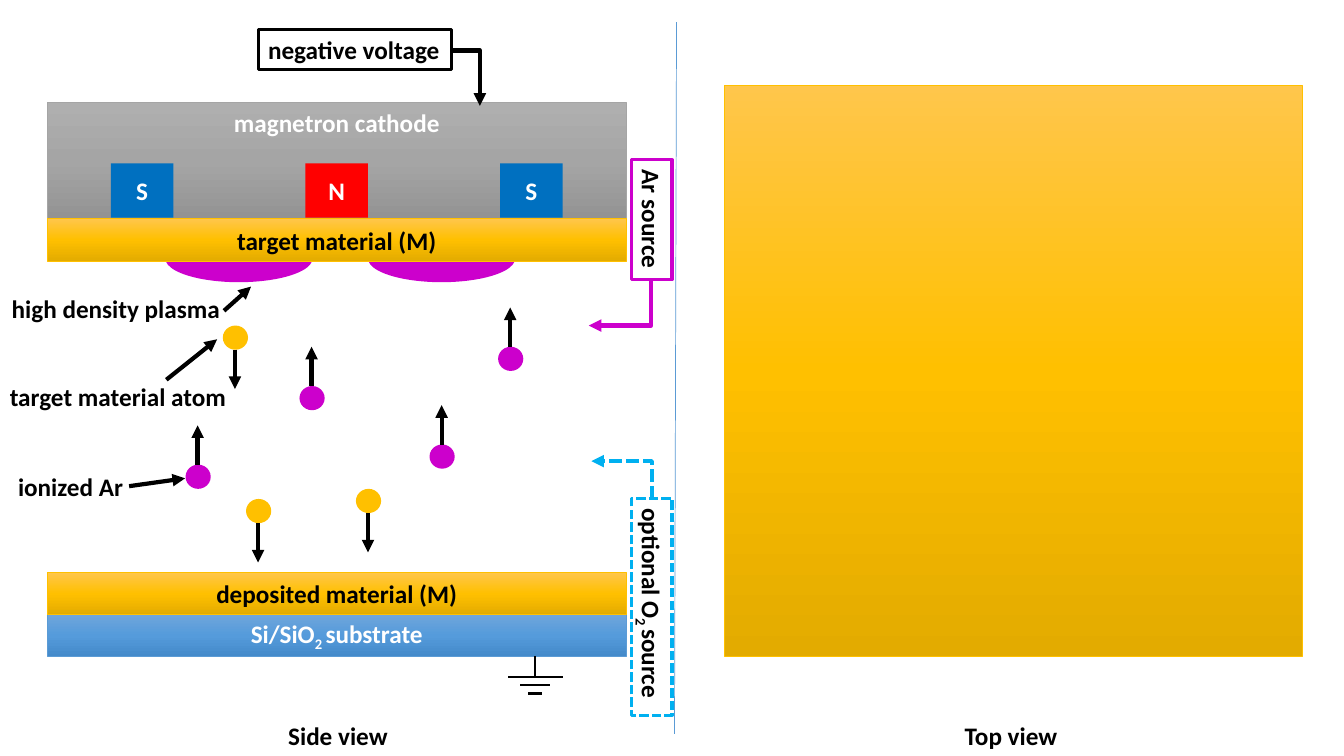
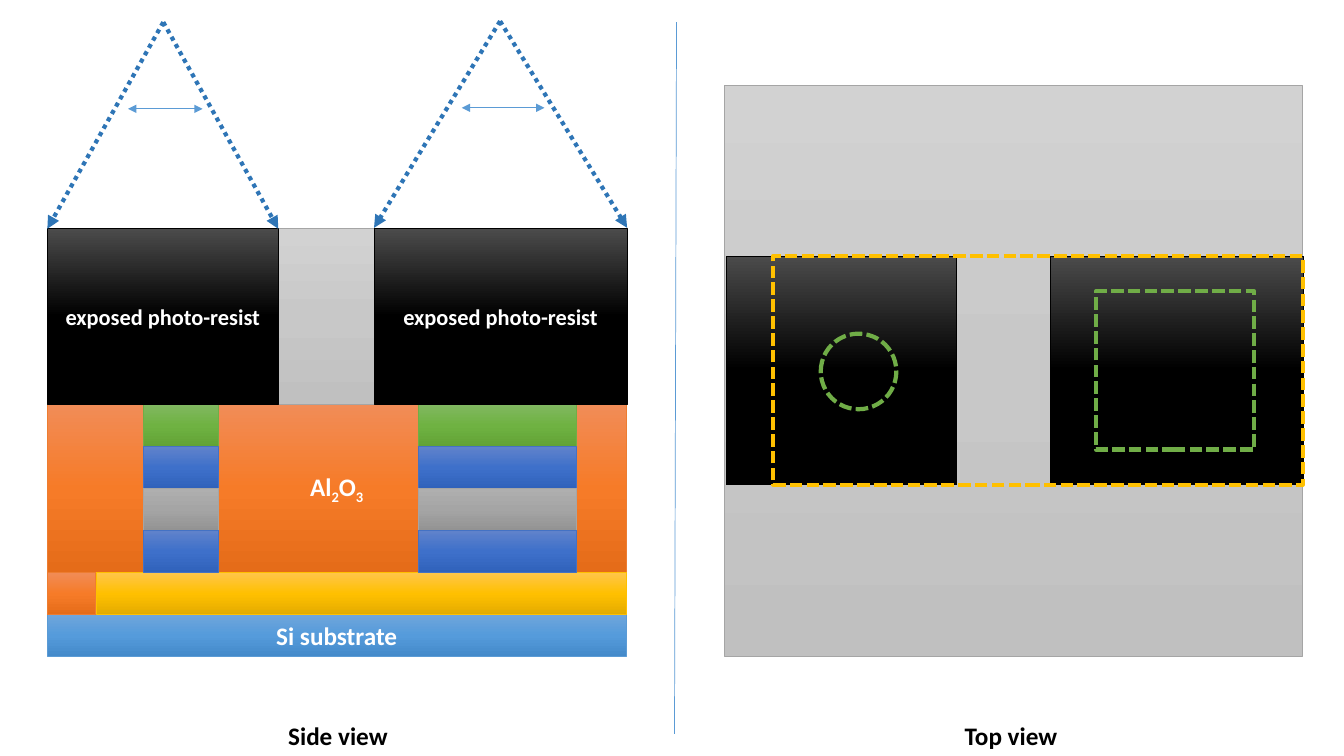
"""Build two process diagrams, each with a side view and a top view."""
from copy import deepcopy

from pptx import Presentation
from pptx.dml.color import RGBColor as RGB
from pptx.enum.dml import MSO_LINE as DASH
from pptx.enum.shapes import MSO_CONNECTOR as CONN, MSO_SHAPE as SHAPE
from pptx.enum.text import MSO_ANCHOR as ANCHOR, PP_ALIGN as ALIGN
from pptx.oxml.ns import qn
from pptx.oxml.xmlchemy import OxmlElement
from pptx.util import Pt

PX = 9144
FONT = "Calibri"
C = {
    "black": "000000", "white": "FFFFFF", "plasma": "CC00CC", "gold": "FFC000",
    "red": "FF0000", "magnet": "0070C0", "oxygen": "00B0F0", "sky": "5B9BD5",
    "beam": "2E75B6", "green": "70AD47", "gray": "A5A5A5", "blue": "4472C4",
    "orange": "ED7D31",
}
GRADIENTS = {
    "sky": ("71A6DB", "559BDB", "448ACA"),
    "gold": ("FFC64B", "FFC000", "E3AB00"),
    "gray": ("AFAFAF", "A5A5A5", "939393"),
    "silver": ("D2D2D2", "C8C8C8", "C0C0C0"),
    "black": ("4B4B4B", "000000", "000000"),
    "orange": ("F18C57", "F67B28", "E56C19"),
    "blue": ("6183CB", "3E70CA", "3062BB"),
    "green": ("81B861", "6FB242", "62A336"),
}
LEFT, WIDTH, LAYER = 47, 574, 42


def rgb(name):
    return RGB.from_string(C[name])


def style_line(sp, color, width, dash=None, ends=()):
    sp.line.color.rgb = rgb(color)
    sp.line.width = Pt(width)
    if dash:
        sp.line.dash_style = dash
    for end in ends:
        arrow = OxmlElement(f"a:{end}End")
        arrow.set("type", "triangle")
        sp._element.spPr.find(qn("a:ln")).append(arrow)


def write(sp, runs, color="black", size=18, align=ALIGN.CENTER,
          anchor=ANCHOR.MIDDLE, wrap=True):
    """Write runs; every second one is a subscript."""
    tf = sp.text_frame
    tf.word_wrap = wrap
    tf.vertical_anchor = anchor
    p = tf.paragraphs[0]
    p.alignment = align
    for i, text in enumerate(runs):
        r = p.add_run()
        r.text = text
        r.font.name, r.font.size, r.font.bold = FONT, Pt(size), True
        r.font.color.rgb = rgb(color)
        if i % 2:
            r.font._element.set("baseline", "-25000")


def shape(s, x, y, w, h, kind=SHAPE.RECTANGLE):
    sp = s.shapes.add_shape(kind, x * PX, y * PX, w * PX, h * PX)
    sp.shadow.inherit = False
    sp.fill.background()
    return sp


def solid(s, x, y, w, h, color, kind=SHAPE.RECTANGLE):
    sp = shape(s, x, y, w, h, kind)
    sp.fill.solid()
    sp.fill.fore_color.rgb = rgb(color)
    sp.line.fill.background()
    return sp


def block(s, x, y, w, h, name, edge=None):
    sp = shape(s, x, y, w, h)
    sp.fill.gradient()
    sp.fill.gradient_angle = 270
    stops = sp._element.spPr.find(".//" + qn("a:gsLst"))
    stops.append(deepcopy(stops[-1]))
    for i, (stop, color) in enumerate(zip(sp.fill.gradient_stops, GRADIENTS[name])):
        stop.position = i / 2
        stop.color.rgb = RGB.from_string(color)
    style_line(sp, edge or name, 0.5)
    return sp


def outline(s, x, y, w, h, color, kind=SHAPE.RECTANGLE):
    style_line(shape(s, x, y, w, h, kind), color, 3, DASH.SQUARE_DOT)


def source_box(s, x, y, w, runs, color, rotation=0, dash=None):
    sp = shape(s, x, y, w, 40)
    sp.rotation = rotation
    style_line(sp, color, 2.25, dash)
    write(sp, runs, align=ALIGN.LEFT, anchor=ANCHOR.TOP, wrap=False)


def caption(s, x, w, text):
    tb = s.shapes.add_textbox(x * PX, 710 * PX, w * PX, 40 * PX)
    write(tb, [text], align=ALIGN.LEFT, anchor=ANCHOR.TOP, wrap=False)


def connector(s, x1, y1, x2, y2, color, width, dash=None, ends=(), kind=CONN.STRAIGHT):
    cx = s.shapes.add_connector(kind, x1 * PX, y1 * PX, x2 * PX, y2 * PX)
    style_line(cx, color, width, dash, ends)
    cx._element.spPr.append(OxmlElement("a:effectLst"))
    return cx


def elbow(s, x, y, w, h, color, rotation=0, flip=False, dash=None):
    cx = connector(s, x, y, x + w, y + h, color, 3, dash, ["tail"], CONN.ELBOW)
    spPr = cx._element.spPr
    spPr.find(qn("a:prstGeom")).set("prst", "bentConnector2")
    xfrm = spPr.find(qn("a:xfrm"))
    xfrm.set("rot", str(rotation * 60000))
    if flip:
        xfrm.set("flipV", "1")


def callout(s, x, y, w, text, adjustments):
    sp = shape(s, x, y, w, 60, SHAPE.LINE_CALLOUT_1_NO_BORDER)
    for i, value in enumerate(adjustments):
        sp.adjustments[i] = value
    style_line(sp, "black", 3, ends=["tail"])
    write(sp, [text])


def particle(s, x, y, color, up):
    solid(s, x, y, 25, 24, color, SHAPE.OVAL)
    start, end = (y, y - 39) if up else (y + 24, y + 63)
    connector(s, x + 12, start, x + 12, end, "black", 3, ends=["tail"])


def ground(s, x, y):
    connector(s, x, y, x, y + 21, "black", 1.5)
    for i, half in enumerate((27, 15, 7)):
        bar = y + 21 + 8 * i
        connector(s, x - half, bar, x + half, bar, "black", 1.5)


def beam(s, left, apex, right, top, bottom, arrow_left, arrow_right):
    for foot in (left, right):
        connector(s, apex, top, foot, bottom, "beam", 3, DASH.ROUND_DOT, ["tail"])
    connector(s, arrow_left, top + 86, arrow_right, top + 86, "sky", 0.5,
              ends=["head", "tail"])


def stack(s, x, w):
    for i, name in enumerate(("green", "blue", "gray", "blue")):
        block(s, x, 401 + round(41.7 * i), w, LAYER, name)


def views(prs, substrate, top_fill, top_edge):
    s = prs.slides.add_slide(prs.slide_layouts[6])
    caption(s, 276, 119, "Side view")
    caption(s, 947, 113, "Top view")
    write(block(s, LEFT, 609, WIDTH, LAYER, "sky"), substrate, "white")
    connector(s, 671, 22, 669, 728, "sky", 0.5)
    block(s, 718, 85, WIDTH, 566, top_fill, top_edge)
    return s


def sputtering(prs):
    s = views(prs, ["Si/SiO", "2 ", "substrate"], "gold", "gold")
    for x in (164, 365):
        solid(s, x, 233, 146, 47, "plasma", SHAPE.OVAL)
    cathode = block(s, LEFT, 102, WIDTH, 115, "gray")
    write(cathode, ["magnetron cathode"], "white", anchor=ANCHOR.TOP)
    for i, (pole, color) in enumerate((("S", "magnet"), ("N", "red"), ("S", "magnet"))):
        write(solid(s, 110 + 193 * i, 162, 62, 54, color), [pole], "white")
    for y, text in ((217, "target material (M)"), (568, "deposited material (M)")):
        write(block(s, LEFT, y, WIDTH, LAYER, "gold"), [text])
    for x, y in ((494, 344), (426, 441), (297, 383), (184, 461)):
        particle(s, x, y, "plasma", True)
    for x, y in ((221, 323), (353, 485), (244, 495)):
        particle(s, x, y, "gold", False)
    source_box(s, 587, 198, 119, ["Ar source"], "plasma", 90)
    elbow(s, 592, 269, 46, 62, "plasma", 90)
    source_box(s, 539, 582, 215, ["optional O", "2 ", "source"], "oxygen", 90,
               DASH.SQUARE_DOT)
    elbow(s, 598, 446, 37, 60, "oxygen", 270, True, DASH.SQUARE_DOT)
    callout(s, -19, 276, 268, "high density plasma", (0.54, 0.9, 0.14, 1))
    callout(s, -3, 363, 240, "target material atom", (0.23, 0.7, -0.44, 0.91))
    callout(s, 4, 453, 132, "ionized Ar", (0.49, 0.94, 0.36, 1.36))
    source_box(s, 256, 29, 192, ["negative voltage"], "black")
    elbow(s, 448, 50, 28, 55, "black")
    ground(s, 531, 651)


def lithography(prs):
    s = views(prs, ["Si substrate"], "silver", "gray")
    block(s, 1042, 254, 251, 227, "black")
    block(s, 720, 254, 229, 227, "black")
    outline(s, 767, 254, 525, 227, "gold")
    outline(s, 814, 331, 75, 75, "green", SHAPE.OVAL)
    outline(s, 1087, 289, 157, 157, "green")
    write(block(s, LEFT, 401, WIDTH, 167, "orange"), ["Al", "2", "O", "3"], "white")
    block(s, 96, 568, 525, LAYER, "gold")
    block(s, LEFT, 568, 48, LAYER, "orange")
    stack(s, 142, 75)
    stack(s, 415, 157)
    block(s, LEFT, 227, WIDTH, 174, "silver", "gray")
    for x, w in ((LEFT, 229), (371, 251)):
        write(block(s, x, 227, w, 174, "black"), ["exposed photo-resist"], "white", 16)
    beam(s, 47, 162, 276, 22, 227, 127, 201)
    beam(s, 371, 496, 622, 21, 226, 458, 540)


def main():
    prs = Presentation()
    prs.slide_width, prs.slide_height = 1333 * PX, 750 * PX
    sputtering(prs)
    lithography(prs)
    prs.save("out.pptx")


if __name__ == "__main__":
    main()
